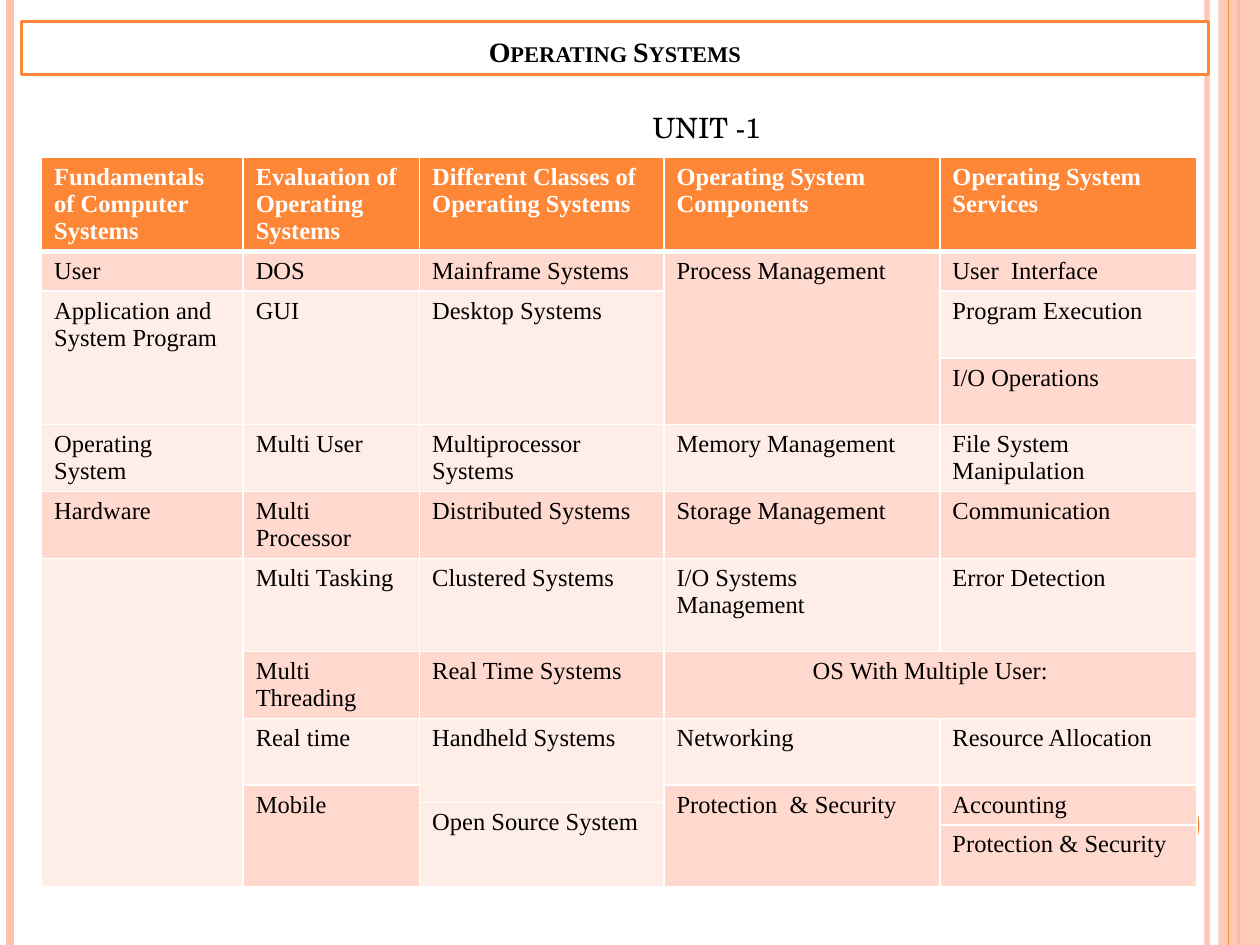
from pptx import Presentation
from pptx.dml.color import RGBColor
from pptx.enum.shapes import MSO_CONNECTOR, MSO_SHAPE
from pptx.enum.text import MSO_ANCHOR, MSO_AUTO_SIZE, PP_ALIGN
from pptx.oxml.ns import qn
from pptx.util import Inches, Pt
from lxml import etree

LEFT, CENTER = PP_ALIGN.LEFT, PP_ALIGN.CENTER
TOP, BOTTOM = MSO_ANCHOR.TOP, MSO_ANCHOR.BOTTOM
FIXED = MSO_AUTO_SIZE.NONE
STRAIGHT = MSO_CONNECTOR.STRAIGHT
RECT, OVAL = MSO_SHAPE.RECTANGLE, MSO_SHAPE.OVAL

ORANGE = RGBColor(0xFE, 0x86, 0x37)
PEACH = RGBColor(0xFE, 0xC3, 0xAE)
ROSE = RGBColor(0xFF, 0xD9, 0xCE)
BLUSH = RGBColor(0xFF, 0xED, 0xE8)
WHITE = RGBColor(0xFF, 0xFF, 0xFF)
BLACK = RGBColor(0, 0, 0)

SERIF = "Times New Roman"
SCHOOL = "TeX Gyre Schola"

COLS = [1.6, 1.4, 1.94, 2.19, 2.04]
ROWS = [0.74, 0.31, 0.53, 0.53, 0.53, 0.53, 0.74, 0.53, 0.53, 0.14, 0.16, 0.49]
CELLS = [
    ["Fundamentals of Computer Systems", "Evaluation of Operating Systems",
     "Different Classes of Operating Systems", "Operating System Components",
     "Operating System Services"],
    ["User", "DOS", "Mainframe Systems", "Process Management", "User  Interface"],
    ["Application and System Program", "GUI", "Desktop Systems", "",
     "Program Execution"],
    ["", "", "", "", "I/O Operations"],
    ["Operating System", "Multi User", "Multiprocessor Systems",
     "Memory Management", "File System Manipulation"],
    ["Hardware", "Multi Processor", "Distributed Systems",
     "Storage Management", "Communication"],
    ["", "Multi Tasking", "Clustered Systems", "I/O Systems Management",
     "Error Detection"],
    ["", "Multi Threading", "Real Time Systems", "OS With Multiple User:", ""],
    ["", "Real time", "Handheld Systems", "Networking", "Resource Allocation"],
    ["", "Mobile", "", "Protection  & Security", "Accounting"],
    ["", "", "Open Source System", "", ""],
    ["", "", "", "", "Protection & Security"],
]
SPANS = [
    (1, 3, 3, 3), (2, 0, 3, 0), (2, 1, 3, 1), (2, 2, 3, 2), (6, 0, 11, 0),
    (7, 3, 7, 4), (8, 2, 9, 2), (9, 1, 11, 1), (9, 3, 11, 3), (9, 4, 10, 4),
    (10, 2, 11, 2),
]


def put(frame, text, font=SERIF, size=14, color=BLACK, bold=False,
        align=LEFT, small=False, indent=None):
    para = frame.paragraphs[0]
    para.text = text
    para.alignment = align
    para.space_before = Pt(0)
    if indent is not None:
        props = para._p.get_or_add_pPr()
        props.set("marL", str(Inches(indent)))
        props.set("indent", "0")
        etree.SubElement(props, qn("a:buNone"))
    para.font.size = Pt(size)
    for run in para.runs:
        run.font.name = font
        run.font.size = Pt(size)
        run.font.bold = bold
        run.font.color.rgb = color
        if small:
            run.font._element.set("cap", "small")


def place(shape, box):
    shape.left, shape.top, shape.width, shape.height = map(Inches, box)


def fade(fill, alpha):
    tint = fill.find(".//" + qn("a:srgbClr"))
    etree.SubElement(tint, qn("a:alpha")).set("val", str(alpha * 1000))


def rule(slide, x, tall, color, width, alpha=None):
    line = slide.shapes.add_connector(
        STRAIGHT, Inches(x), 0, Inches(x), Inches(tall))
    line.line.color.rgb = color
    line.line.width = Pt(width)
    props = line.element.spPr
    if alpha:
        fade(props, alpha)
    etree.SubElement(props, qn("a:effectLst"))


def block(slide, kind, box, color, alpha=None):
    shape = slide.shapes.add_shape(kind, *map(Inches, box))
    shape.shadow.inherit = False
    shape.fill.solid()
    shape.fill.fore_color.rgb = color
    shape.line.fill.background()
    if alpha:
        fade(shape.element.spPr, alpha)


def frame_page(slide, box):
    left, top, width, tall = box
    right = left + width
    rule(slide, right - 0.42, tall, PEACH, 3, 93)
    rule(slide, left + 0.08, tall, PEACH, 4.5)
    rule(slide, right - 0.17, tall, ORANGE, 1.5)
    block(slide, RECT, (right - 0.33, top, 0.33, tall), PEACH, 87)
    rule(slide, right - 0.25, tall, ORANGE, 0.75)
    block(slide, OVAL, (right - 1.08, top + 6.25, 0.6, 0.6), ORANGE)


def head(slide, box):
    title = slide.shapes.title
    place(title, box)
    title.fill.solid()
    title.fill.fore_color.rgb = WHITE
    title.line.color.rgb = ORANGE
    title.line.width = Pt(2)
    title.text_frame.auto_size = FIXED
    title.text_frame.vertical_anchor = BOTTOM
    put(title.text_frame, "Operating Systems", size=16, bold=True,
        align=CENTER, small=True)
    title.element.getparent().append(title.element)


def unit(slide, box):
    body = slide.placeholders[1]
    place(body, box)
    body.text_frame.auto_size = FIXED
    body.text_frame.vertical_anchor = TOP
    put(body.text_frame, "UNIT -1", font=SCHOOL, size=16, indent=3.91)


def edge(cell, row):
    props = cell._tc.get_or_add_tcPr()
    thick = {(0, "B"), (1, "T")}
    for side in "LRTB":
        width = 3 if (row, side) in thick else 1
        line = etree.SubElement(props, qn("a:ln" + side))
        line.set("w", str(Pt(width)))
        fill = etree.SubElement(line, qn("a:solidFill"))
        etree.SubElement(fill, qn("a:srgbClr")).set("val", str(WHITE))


def topics(slide, box):
    table = slide.shapes.add_table(
        len(ROWS), len(COLS), *map(Inches, box)).table
    for col, width in zip(table.columns, COLS):
        col.width = Inches(width)
    for row, tall in zip(table.rows, ROWS):
        row.height = Inches(tall)
    for r1, c1, r2, c2 in SPANS:
        table.cell(r1, c1).merge(table.cell(r2, c2))
    for r, texts in enumerate(CELLS):
        top = r == 0
        for c, text in enumerate(texts):
            cell = table.cell(r, c)
            edge(cell, r)
            cell.fill.solid()
            cell.fill.fore_color.rgb = ORANGE if top else (BLUSH, ROSE)[r % 2]
            wide = cell.is_merge_origin and cell.span_width > 1
            put(cell.text_frame, text, color=WHITE if top else BLACK,
                bold=top, align=CENTER if wide else LEFT)


def main():
    deck = Presentation()
    deck.slide_width, deck.slide_height = Inches(10), Inches(7.5)
    slide = deck.slides.add_slide(deck.slide_layouts[1])
    frame_page(slide, (0, 0, 10, 7.5))
    unit(slide, (1.17, 0.83, 8.67, 6.5))
    topics(slide, (0.33, 1.25, sum(COLS), sum(ROWS)))
    head(slide, (0.17, 0.17, 9.42, 0.42))
    deck.save("out.pptx")


if __name__ == "__main__":
    main()
